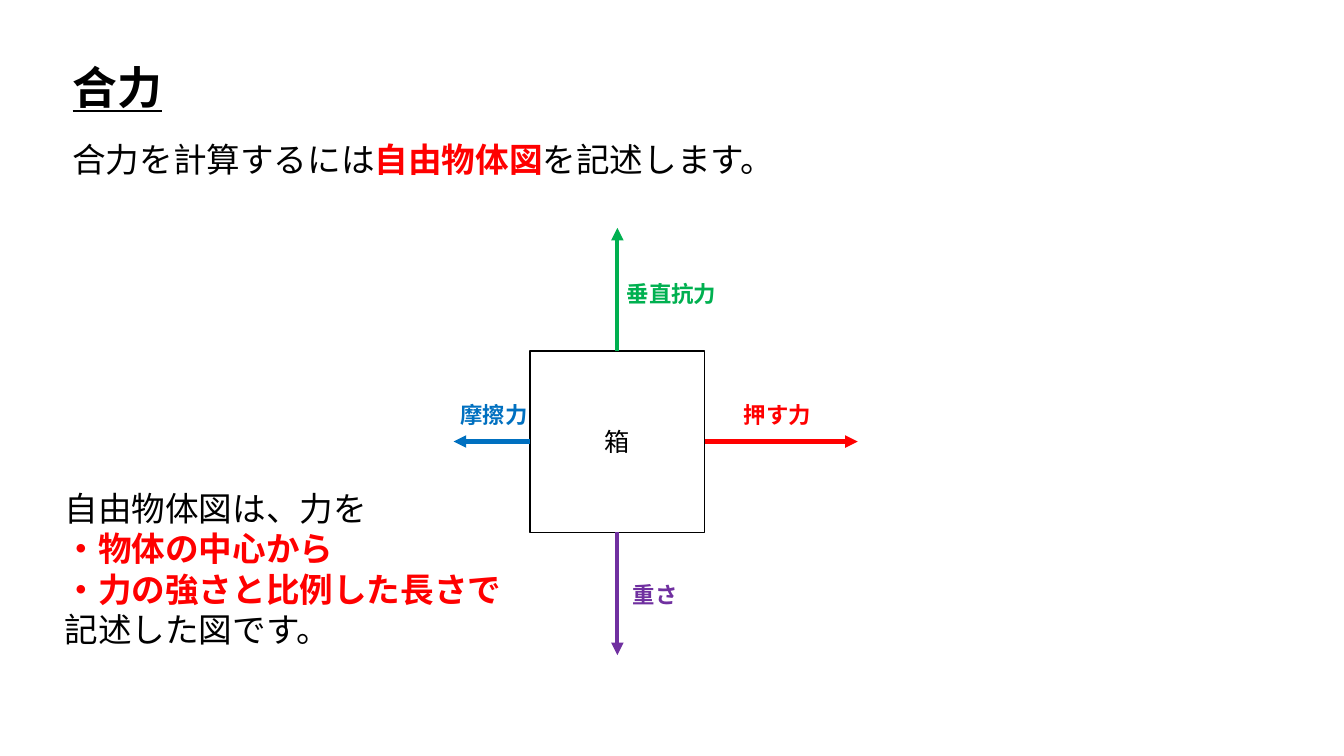
from pptx import Presentation
from pptx.dml.color import RGBColor
from pptx.enum.shapes import MSO_CONNECTOR, MSO_SHAPE
from pptx.enum.text import MSO_ANCHOR, MSO_AUTO_SIZE, PP_ALIGN
from pptx.oxml.ns import qn
from pptx.util import Pt
from lxml.etree import SubElement

FONT = "Noto Sans CJK JP"
COLORS = {
    "black": "000000",
    "red": "FF0000",
    "purple": "7030A0",
    "green": "00B050",
    "blue": "0070C0",
}


def add_run(paragraph, text, size=24, color="black", bold=False, underline=False):
    run = paragraph.add_run()
    run.text = text
    font = run.font
    font.name, font.size = FONT, Pt(size)
    font.bold, font.underline = bold, underline
    font.color.rgb = RGBColor.from_string(COLORS[color])
    SubElement(font._element, qn("a:ea"), typeface=FONT)


class ForceSlide:
    def __init__(self, slide):
        self.slide = slide
        self.shapes = slide.shapes

    def fill_text(self, shape, lines, anchor=MSO_ANCHOR.TOP, align=PP_ALIGN.LEFT):
        """Each line is a list of (text, format) pairs."""
        frame = shape.text_frame
        frame.word_wrap = True
        frame.auto_size = MSO_AUTO_SIZE.NONE
        frame.vertical_anchor = anchor
        for number, line in enumerate(lines):
            paragraph = frame.paragraphs[0] if number == 0 else frame.add_paragraph()
            properties = paragraph._p.get_or_add_pPr()
            properties.set("marL", "0")
            properties.set("indent", "0")
            SubElement(properties, qn("a:buNone"))
            paragraph.alignment = align
            paragraph.space_before = Pt(0)
            for text, style in line:
                add_run(paragraph, text, **style)

    def placeholder(self, shape, left, top, width, height, lines):
        shape.left, shape.top = Pt(left), Pt(top)
        shape.width, shape.height = Pt(width), Pt(height)
        self.fill_text(shape, lines)

    def text(self, left, top, width, height, lines):
        box = self.shapes.add_textbox(Pt(left), Pt(top), Pt(width), Pt(height))
        self.fill_text(box, lines)

    def box(self, left, top, width, height, label):
        rect = self.shapes.add_shape(
            MSO_SHAPE.RECTANGLE, Pt(left), Pt(top), Pt(width), Pt(height))
        rect.shadow.inherit = False
        rect.fill.background()
        rect.line.color.rgb = RGBColor.from_string(COLORS["black"])
        rect.line.width = Pt(1)
        self.fill_text(rect, [[(label, {"size": 18})]], MSO_ANCHOR.MIDDLE, PP_ALIGN.CENTER)
        return rect

    def force(self, body, side, end_x, end_y, color):
        arrow = self.shapes.add_connector(
            MSO_CONNECTOR.STRAIGHT, Pt(0), Pt(0), Pt(end_x), Pt(end_y))
        arrow.begin_connect(body, side)
        arrow.line.color.rgb = RGBColor.from_string(COLORS[color])
        arrow.line.width = Pt(3)
        SubElement(arrow.line._get_or_add_ln(), qn("a:tailEnd"), type="triangle")
        SubElement(arrow._element.spPr, qn("a:effectLst"))


def main():
    deck = Presentation()
    deck.slide_width, deck.slide_height = Pt(960), Pt(540)
    page = ForceSlide(deck.slides.add_slide(deck.slide_layouts[1]))
    strong = {"color": "red", "bold": True}

    # Title and introduction
    page.placeholder(page.shapes.title, 44.6, 38.9, 79.2, 46,
                     [[("合力", {"size": 32, "bold": True, "underline": True})]])
    page.text(44.6, 95.8, 523.4, 36, [[
        ("合力を計算するには", {}),
        ("自由物体図", strong),
        ("を記述します。", {}),
    ]])

    # Box with its four forces
    left, top, width, height = 378.7, 250.6, 124.6, 129.6
    center_x, center_y = left + width / 2, top + height / 2
    body = page.box(left, top, width, height, "箱")
    forces = [  # name, color, side, arrow tip, label position
        ("垂直抗力", "green", 0, (center_x, 162.7), (440.6, 196.6)),
        ("摩擦力", "blue", 1, (324, center_y), (321.8, 283)),
        ("重さ", "purple", 2, (center_x, 468), (445, 411.8)),
        ("押す力", "red", 3, (612.7, center_y), (524.2, 283)),
    ]
    for name, color, side, tip, label in forces:
        page.force(body, side, *tip, color)
        page.text(*label, 16 * len(name) + 16, 26.6,
                  [[(name, {"size": 16, "color": color, "bold": True})]])

    # Explanation
    page.placeholder(page.slide.placeholders[1], 38.9, 344.9, 329.8, 123.8, [
        [("自由物体図は、力を", {})],
        [("・物体の中心から", strong)],
        [("・力の強さと比例した長さで", strong)],
        [("記述した図です。", {})],
    ])

    deck.save("out.pptx")


if __name__ == "__main__":
    main()
